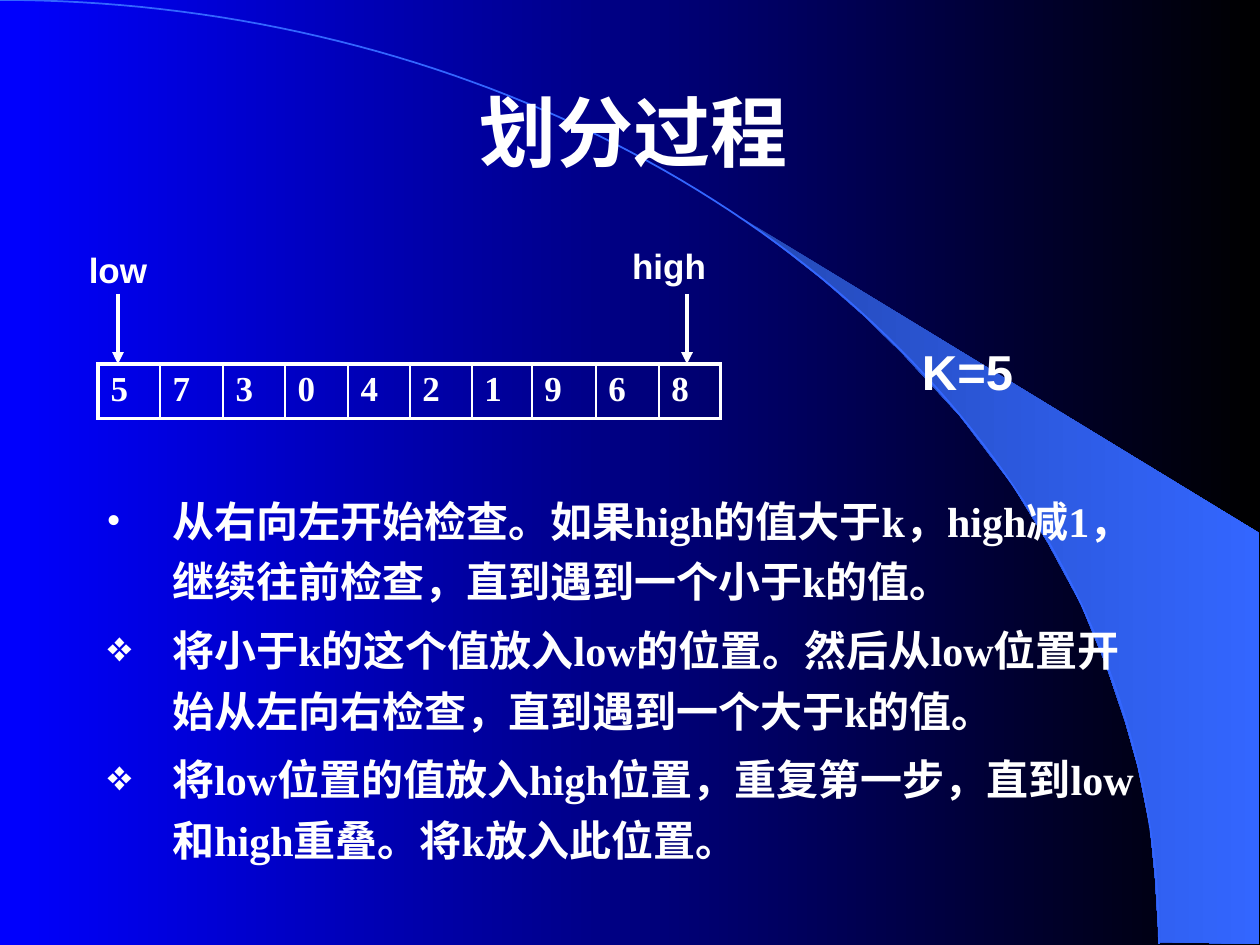
"""Build the slide that explains the partition step of quicksort."""
from math import cos, pi, sin

from lxml.etree import SubElement
from pptx import Presentation
from pptx.dml.color import RGBColor
from pptx.enum.shapes import MSO_CONNECTOR
from pptx.enum.text import MSO_ANCHOR, PP_ALIGN
from pptx.oxml.ns import qn
from pptx.util import Emu, Pt

SCALE = 914400 / 126
COLORS = {"blue": "0000FF", "black": "000000", "deep": "2449B6", "sky": "3366FF", "white": "FFFFFF"}

TITLE = ("划分过程", (98, 52, 1071, 157), 44)
STEPS_FRAME = (94, 479, 1071, 407)
STEPS = [
    ("•", 100, "从右向左开始检查。如果high的值大于k，high减1，继续往前检查，直到遇到一个小于k的值。"),
    ("❖", 80, "将小于k的这个值放入low的位置。然后从low位置开始从左向右检查，直到遇到一个大于k的值。"),
    ("❖", 80, "将low位置的值放入high位置，重复第一步，直到low和high重叠。将k放入此位置。"),
]
STEP_INDENT = 66
VALUES = [5, 7, 3, 0, 4, 2, 1, 9, 6, 8]
WIDTHS = [62, 63, 62, 63, 62, 62, 60, 64, 63, 62]
TABLE_LEFT, TABLE_TOP, ROW_HEIGHT = 98, 364, 48
POINTERS = [
    {"label": "low", "frame": (66, 242, 104, 52), "arrow": 118},
    {"label": "high", "frame": (617, 238, 104, 54), "arrow": 687},
]
ARROW_TOP = 294
KEY = ("K=5", (813, 335, 309, 72), 28)
ARC_WIDTH, ARC_HEIGHT, ARC_STEPS = 1159, 944, 90
WEDGE = [
    (1159, 942), (1259, 944), (1259, 533), (742, 218), (786, 251), (823, 280),
    (863, 315), (902, 353), (960, 416), (1012, 484), (1048, 543), (1081, 604),
    (1106, 665), (1125, 721), (1138, 767), (1150, 827), (1155, 877),
]


def px(length):
    return Emu(round(length * SCALE))


def color(name):
    return RGBColor.from_string(COLORS[name])


def set_gradient(fill, names):
    fill.gradient()
    fill.gradient_angle = 0
    for stop, name, position in zip(fill.gradient_stops, names, (0, 1)):
        stop.color.rgb = color(name)
        stop.position = position


def add_span(para, text, size, font_name):
    span = para.add_run()
    span.text = text
    for name, value in {"size": Pt(size), "name": font_name, "bold": True}.items():
        setattr(span.font, name, value)
    span.font.color.rgb = color("white")


def add_box(page, frame, anchor=MSO_ANCHOR.TOP):
    box = page.shapes.add_textbox(*map(px, frame))
    box.text_frame.word_wrap = True
    box.text_frame.vertical_anchor = anchor
    return box


def add_label(page, text, frame, size, anchor=MSO_ANCHOR.TOP):
    box = add_box(page, frame, anchor)
    para = box.text_frame.paragraphs[0]
    para.alignment = PP_ALIGN.CENTER
    add_span(para, text, size, "Arial")
    return box


def add_outline(page, points, close):
    corners = [(px(x), px(y)) for x, y in points]
    builder = page.shapes.build_freeform(*corners[0])
    builder.add_line_segments(corners[1:], close=close)
    shape = builder.convert_to_shape()
    shape.shadow.inherit = False
    return shape


def add_backdrop(page):
    set_gradient(page.background.fill, ("blue", "black"))
    wedge = add_outline(page, WEDGE, True)
    set_gradient(wedge.fill, ("deep", "sky"))
    wedge.line.fill.background()
    angles = [pi / 2 * step / ARC_STEPS for step in range(ARC_STEPS + 1)]
    arc = add_outline(page, [(ARC_WIDTH * sin(a), ARC_HEIGHT * (1 - cos(a))) for a in angles], False)
    arc.fill.background()
    arc.line.color.rgb = color("sky")
    arc.line.width = Pt(1)


def add_steps(page):
    box = add_box(page, STEPS_FRAME)
    for index, (bullet, percent, text) in enumerate(STEPS):
        para = box.text_frame.add_paragraph() if index else box.text_frame.paragraphs[0]
        para.line_spacing = 1.2
        para.space_before = Pt(4.8 if index else 0)
        add_span(para, text, 24, "Times New Roman")
        properties = para._p.get_or_add_pPr()
        properties.set("marL", str(px(STEP_INDENT)))
        properties.set("indent", str(-px(STEP_INDENT)))
        bullet_color = SubElement(properties, qn("a:buClr"))
        SubElement(bullet_color, qn("a:srgbClr"), val=COLORS["white"])
        SubElement(properties, qn("a:buSzPct"), val=str(percent * 1000))
        SubElement(properties, qn("a:buFont"), typeface="Times New Roman")
        SubElement(properties, qn("a:buChar"), char=bullet)


def set_borders(cell, widths):
    properties = cell._tc.get_or_add_tcPr()
    for side, width in widths.items():
        border = SubElement(properties, qn(f"a:ln{side}"), w=str(Pt(width)))
        fill = SubElement(border, qn("a:solidFill"))
        SubElement(fill, qn("a:srgbClr"), val=COLORS["white"])


def add_array(page):
    frame = (TABLE_LEFT, TABLE_TOP, sum(WIDTHS), ROW_HEIGHT)
    table = page.shapes.add_table(1, len(VALUES), *map(px, frame)).table
    table.first_row = table.horz_banding = False
    table.rows[0].height = px(ROW_HEIGHT)
    last = len(VALUES) - 1
    for index, (value, width) in enumerate(zip(VALUES, WIDTHS)):
        table.columns[index].width = px(width)
        cell = table.cell(0, index)
        add_span(cell.text_frame.paragraphs[0], str(value), 20, "Times New Roman")
        left, right = (2.25 if index == edge else 1 for edge in (0, last))
        set_borders(cell, {"L": left, "R": right, "T": 2.25, "B": 2.25})
        cell.fill.background()


def add_pointer(page, label, frame, arrow):
    box = add_label(page, label, frame, 20)
    ends = map(px, (arrow, ARROW_TOP, arrow, TABLE_TOP))
    line = page.shapes.add_connector(MSO_CONNECTOR.STRAIGHT, *ends)
    line.line.color.rgb = color("white")
    line.line.width = Pt(2.25)
    SubElement(line.line._get_or_add_ln(), qn("a:tailEnd"), type="triangle")
    SubElement(line._element.spPr, qn("a:effectLst"))
    left, top, width, height = frame
    if (arrow, ARROW_TOP) == (left + width / 2, top + height):
        line.begin_connect(box, 2)


def main():
    deck = Presentation()
    deck.slide_width, deck.slide_height = px(1260), px(945)
    page = deck.slides.add_slide(deck.slide_layouts[6])
    add_backdrop(page)
    add_label(page, *TITLE, MSO_ANCHOR.MIDDLE)
    add_steps(page)
    add_array(page)
    for pointer in POINTERS:
        add_pointer(page, **pointer)
    add_label(page, *KEY)
    deck.save("out.pptx")


if __name__ == "__main__":
    main()
